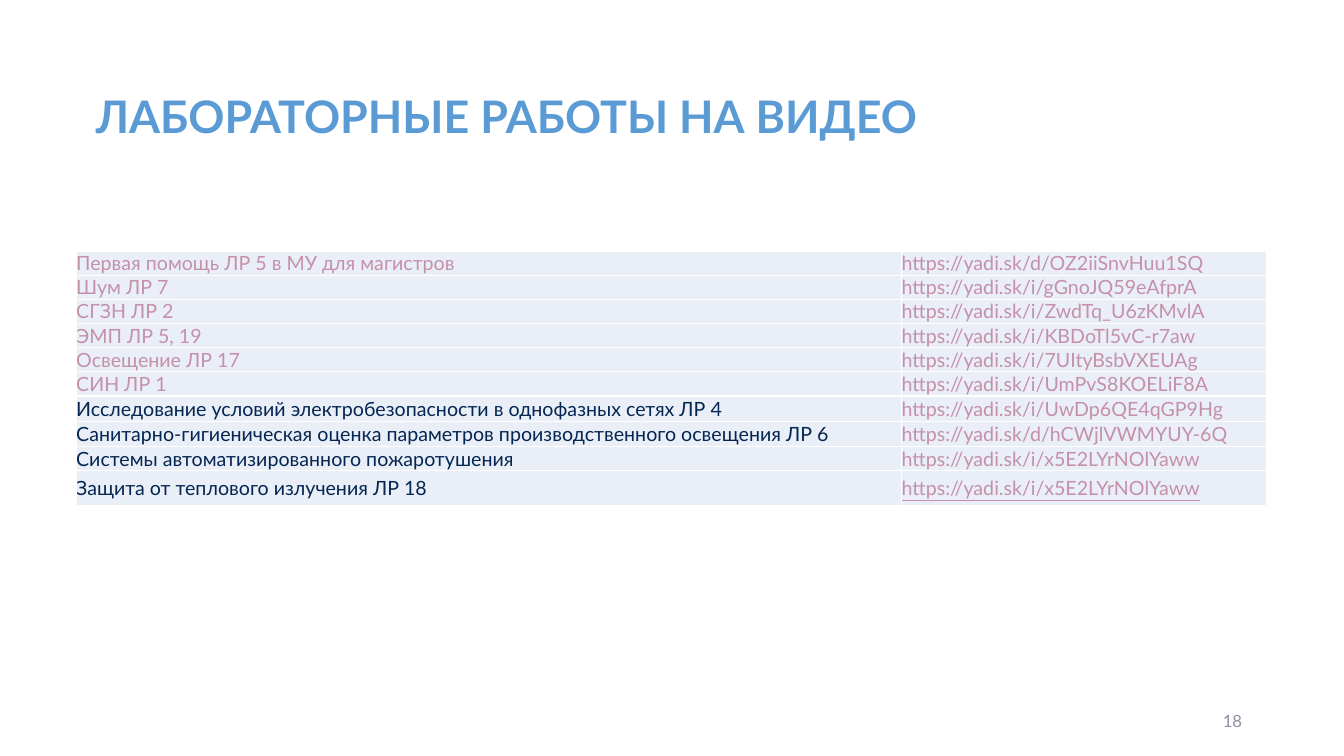
from dataclasses import dataclass

from lxml import etree
from pptx import Presentation
from pptx.dml.color import RGBColor
from pptx.enum.text import MSO_ANCHOR, MSO_AUTO_SIZE, PP_ALIGN
from pptx.oxml.ns import qn
from pptx.util import Inches, Pt

MIDDLE, BOTTOM = MSO_ANCHOR.MIDDLE, MSO_ANCHOR.BOTTOM
CENTER, RIGHT, LEFT = PP_ALIGN.CENTER, PP_ALIGN.RIGHT, PP_ALIGN.LEFT
NO_FIT = MSO_AUTO_SIZE.NONE

WIDE, HIGH = Inches(13.333), Inches(7.5)
COL, ROW = WIDE / 12, HIGH / 30


@dataclass(frozen=True)
class Theme:
    """Holds the colours, font and type sizes."""
    face: str = "Lato"
    head: str = "5B9BD5"
    link: str = "C490AA"
    ink: str = "042652"
    gray: str = "8C90A3"
    band: str = "EAEFF7"
    rule: str = "FFFFFF"
    big: int = 32
    mid: int = 14
    small: int = 12


THEME = Theme()

LABS = [
    ("Первая помощь ЛР 5 в МУ для магистров", "https://yadi.sk/d/OZ2iiSnvHuu1SQ"),
    ("Шум ЛР 7", "https://yadi.sk/i/gGnoJQ59eAfprA"),
    ("СГЗН ЛР 2", "https://yadi.sk/i/ZwdTq_U6zKMvlA"),
    ("ЭМП ЛР 5, 19", "https://yadi.sk/i/KBDoTl5vC-r7aw"),
    ("Освещение ЛР 17", "https://yadi.sk/i/7UItyBsbVXEUAg"),
    ("СИН ЛР 1", "https://yadi.sk/i/UmPvS8KOELiF8A"),
    ("Исследование условий электробезопасности в однофазных сетях ЛР 4",
     "https://yadi.sk/i/UwDp6QE4qGP9Hg"),
    ("Санитарно-гигиеническая оценка параметров производственного освещения ЛР 6",
     "https://yadi.sk/d/hCWjlVWMYUY-6Q"),
    ("Системы автоматизированного пожаротушения", "https://yadi.sk/i/x5E2LYrNOlYaww"),
    ("Защита от теплового излучения ЛР 18", "https://yadi.sk/i/x5E2LYrNOlYaww"),
]
LINKED = 6
LOW = 8
SPANS = [0.96] * 6 + [1, 1, 0.96, 1.4]
SHARES = [0.69, 0.31]


def grid(left, top, wide, high):
    """Turn columns and rows of the grid into a box."""
    return [round(n) for n in (left * COL, top * ROW, wide * COL, high * ROW)]


def assign(thing, form):
    """Set the attributes of a thing from a dict."""
    for name, value in form.items():
        setattr(thing, name, value)


def write(frame, text, size, color, align, **form):
    """Write one styled paragraph into a text frame."""
    para = frame.paragraphs[0]
    para.alignment = align
    run = para.add_run()
    run.text = text
    assign(run.font, {"name": THEME.face, "size": Pt(size), **form})
    run.font.color.rgb = RGBColor.from_string(color)
    return para


def add_title(slide, box, text):
    """Place the title in its box."""
    title = slide.shapes.title
    assign(title, dict(zip(("left", "top", "width", "height"), box)))
    assign(title.text_frame, {"vertical_anchor": MIDDLE, "word_wrap": True,
                              "auto_size": NO_FIT})
    para = write(title.text_frame, text, THEME.big, THEME.head, CENTER, bold=True)
    para.line_spacing = 0.9


def add_number(slide, box, text):
    """Place the page number in its box."""
    frame = slide.shapes.add_textbox(*box).text_frame
    assign(frame, {"vertical_anchor": MIDDLE, "word_wrap": True})
    write(frame, text, THEME.small, THEME.gray, RIGHT)


def style(cell, anchor):
    """Give a cell its margins, rules and fill."""
    assign(cell, {"margin_left": 0, "margin_top": 0, "margin_right": 0,
                  "margin_bottom": 0, "vertical_anchor": anchor})
    props = cell._tc.get_or_add_tcPr()
    for side in ("a:lnL", "a:lnR", "a:lnT", "a:lnB"):
        line = etree.SubElement(props, qn(side), w=str(Pt(1)))
        fill = etree.SubElement(line, qn("a:solidFill"))
        etree.SubElement(fill, qn("a:srgbClr"), val=THEME.rule)
    cell.fill.solid()
    cell.fill.fore_color.rgb = RGBColor.from_string(THEME.band)


def add_labs(slide, box, labs):
    """Place the table of lab works and links in its box."""
    table = slide.shapes.add_table(len(labs), len(SHARES), *box).table
    assign(table, {"first_row": False, "horz_banding": False})
    for column, share in zip(table.columns, SHARES):
        column.width = round(box[2] * share)
    table.columns[0].width = round(7.37 / 10.63 * box[2])
    table.columns[1].width = box[2] - table.columns[0].width
    for i, (row, span) in enumerate(zip(table.rows, SPANS)):
        row.height = round(box[3] * span / sum(SPANS))
        for j, cell in enumerate(row.cells):
            style(cell, BOTTOM if i == LOW else MIDDLE)
            link = j == 1 or i < LINKED
            color = THEME.link if link else THEME.ink
            write(cell.text_frame, labs[i][j], THEME.mid, color, LEFT, underline=link)


def main():
    """Build and save the slide."""
    deck = Presentation()
    assign(deck, {"slide_width": WIDE, "slide_height": HIGH})
    slide = deck.slides.add_slide(deck.slide_layouts[5])
    add_title(slide, grid(0.58, 3.16, 7.89, 3.16), "ЛАБОРАТОРНЫЕ РАБОТЫ НА ВИДЕО")
    add_number(slide, grid(8.48, 27.8, 2.7, 1.6), "18")
    add_labs(slide, grid(0.68, 9.96, 10.63, sum(SPANS)), LABS)
    deck.save("out.pptx")


if __name__ == "__main__":
    main()
